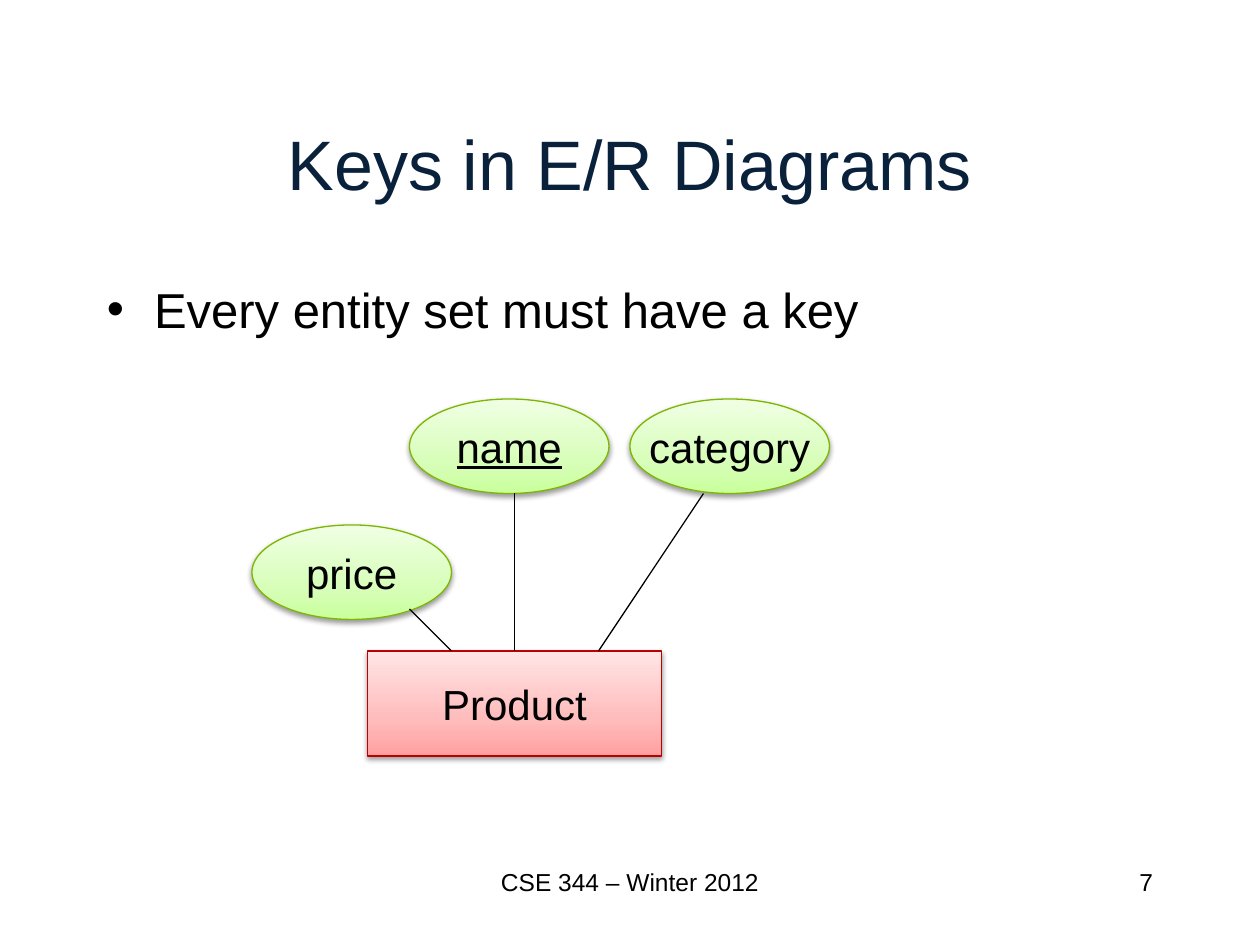
from copy import deepcopy
from dataclasses import dataclass

from pptx import Presentation
from pptx.dml.color import RGBColor
from pptx.enum import shapes, text
from pptx.oxml import parse_xml
from pptx.oxml.ns import nsdecls, qn
from pptx.util import Pt


@dataclass(frozen=True)
class Theme:
    font: str = "Arial"
    title_color: str = "09213B"
    ink: str = "000000"
    entity_fill: tuple = ("FFA0A0", "FFBCBC", "FFE5E5")
    entity_line: str = "BC0000"
    attribute_fill: tuple = ("C9FF9C", "D8FEBA", "F0FFE4")
    attribute_line: str = "7DB602"
    stops: tuple = (0, 0.35, 1)
    line_width: float = 0.75
    title_size: int = 40
    body_size: int = 28
    label_size: int = 24
    footer_size: int = 14


class DiagramPage:
    def __init__(self, page, theme):
        self.page = page
        self.theme = theme

    def add_words(self, box, words, size, color=None, align="CENTER",
                  anchor="MIDDLE", wrap=True, underline=None):
        frame = box.text_frame
        frame.word_wrap = wrap
        frame.vertical_anchor = getattr(text.MSO_ANCHOR, anchor)
        para = frame.paragraphs[0]
        para.alignment = getattr(text.PP_ALIGN, align)
        span = para.add_run()
        span.text = words
        formats = {"name": self.theme.font, "size": Pt(size), "underline": underline}
        for name, value in formats.items():
            setattr(span.font, name, value)
        span.font.color.rgb = RGBColor.from_string(color or self.theme.ink)
        return para

    def text_box(self, words, place, size, **style):
        box = self.page.shapes.add_textbox(*map(Pt, place))
        return self.add_words(box, words, size, **style)

    def bullet(self, words, place, indent=27):
        para = self.text_box(words, place, self.theme.body_size,
                             align="LEFT", anchor="TOP")
        properties = para._p.get_or_add_pPr()
        properties.set("marL", str(Pt(indent)))
        properties.set("indent", str(-Pt(indent)))
        for markup in (f'<a:buFont {nsdecls("a")} typeface="{self.theme.font}"/>',
                       f'<a:buChar {nsdecls("a")} char="•"/>'):
            properties.append(parse_xml(markup))

    def node(self, kind, words, place, colors, line, underline=None):
        shape = self.page.shapes.add_shape(kind, *map(Pt, place))
        shape.line.color.rgb = RGBColor.from_string(line)
        shape.line.width = Pt(self.theme.line_width)

        # Three-stop gradient, darkest at the bottom
        shape.fill.gradient()
        shape.fill.gradient_angle = 90
        properties = shape._element.spPr
        stop_list = properties.find(".//" + qn("a:gsLst"))
        stop_list.append(deepcopy(stop_list[0]))
        for stop, position, color in zip(shape.fill.gradient_stops,
                                         self.theme.stops, colors):
            stop.position = position
            stop.color.rgb = RGBColor.from_string(color)

        # Soft shadow straight below
        shape.shadow.inherit = False
        properties.find(qn("a:effectLst")).append(parse_xml(
            f'<a:outerShdw {nsdecls("a")} blurRad="{Pt(3.1)}" dist="{Pt(1.6)}" '
            f'dir="5400000" rotWithShape="0"><a:srgbClr val="{self.theme.ink}">'
            '<a:alpha val="38000"/></a:srgbClr></a:outerShdw>'))
        self.add_words(shape, words, self.theme.label_size, wrap=False,
                       underline=underline)

    def entity(self, words, place):
        self.node(shapes.MSO_SHAPE.RECTANGLE, words, place,
                  self.theme.entity_fill, self.theme.entity_line)

    def attribute(self, words, left, top, key=None):
        self.node(shapes.MSO_SHAPE.OVAL, words, (left, top, 114, 54),
                  self.theme.attribute_fill, self.theme.attribute_line, key)

    def link(self, start, end):
        line = self.page.shapes.add_connector(
            shapes.MSO_CONNECTOR.STRAIGHT, *map(Pt, (*start, *end)))
        line.line.color.rgb = RGBColor.from_string(self.theme.ink)
        line.line.width = Pt(self.theme.line_width)
        line._element.spPr.append(parse_xml(f'<a:effectLst {nsdecls("a")}/>'))


def main():
    deck = Presentation()
    deck.slide_width, deck.slide_height = Pt(720), Pt(540)
    theme = Theme()
    diagram = DiagramPage(deck.slides.add_slide(deck.slide_layouts[6]), theme)

    # Title and statement
    diagram.text_box("Keys in E/R Diagrams", (54, 48, 612, 90),
                     theme.title_size, color=theme.title_color)
    diagram.bullet("Every entity set must have a key", (54, 156, 612, 324))

    # Entity set and its attributes; the key is underlined
    entity_top = 372
    diagram.entity("Product", (210, entity_top, 168, 60))
    diagram.attribute("name", 234, 228, key=True)
    diagram.attribute("category", 360, 228)
    diagram.attribute("price", 144, 300)

    # Links from the entity set to price, name and category
    for entity_x, end in ((258, (234, 348)), (294, (294, 282)), (342, (402, 282))):
        diagram.link((entity_x, entity_top), end)

    # Footer and page number
    diagram.text_box("CSE 344 – Winter 2012", (228, 492, 264, 36),
                     theme.footer_size, anchor="TOP")
    diagram.text_box("7", (516, 492, 150, 36), theme.footer_size,
                     align="RIGHT", anchor="TOP")

    deck.save("out.pptx")


if __name__ == "__main__":
    main()
